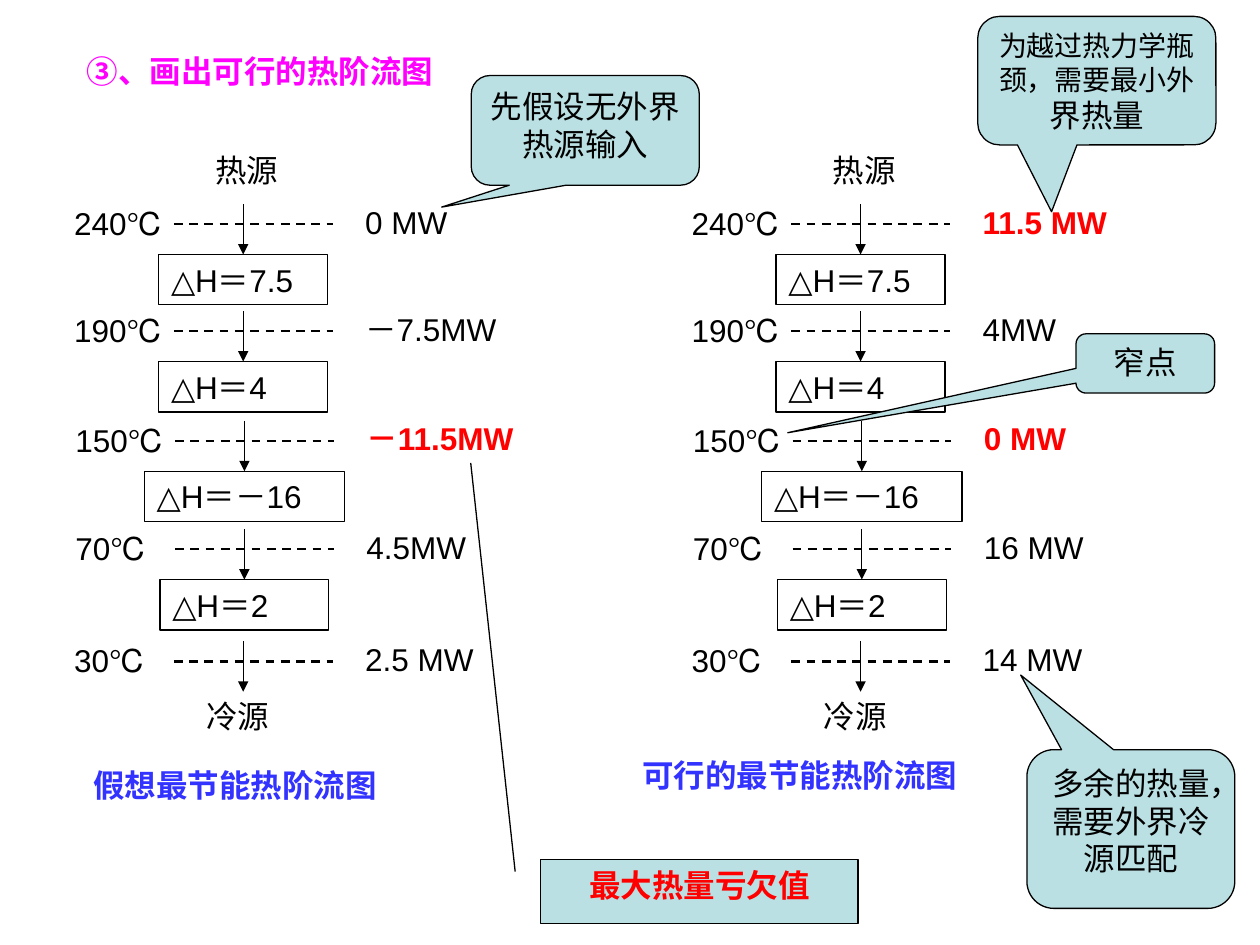
from dataclasses import dataclass

from lxml import etree
from pptx import Presentation
from pptx.dml.color import RGBColor
from pptx.enum.dml import MSO_LINE
from pptx.enum.shapes import MSO_CONNECTOR, MSO_SHAPE
from pptx.enum.text import MSO_ANCHOR, PP_ALIGN
from pptx.oxml.ns import qn
from pptx.util import Inches, Pt

RECT = MSO_SHAPE.RECTANGLE
WEDGE = MSO_SHAPE.ROUNDED_RECTANGULAR_CALLOUT
BORDER = MSO_SHAPE.LINE_CALLOUT_1
STRAIGHT = MSO_CONNECTOR.STRAIGHT
DASH = MSO_LINE.DASH
LEFT, CENTER = PP_ALIGN.LEFT, PP_ALIGN.CENTER
TOP = MSO_ANCHOR.TOP

COLORS = {"ink": "000000", "title": "FF00FF", "hot": "FF0000",
          "name": "3333FF", "note": "BBE0E3"}
FONT = "Arial"
ROW_H = 0.4
AXIS = 1.93          # x of the arrows in the left cascade
RIGHT_SHIFT = 4.9    # from the left cascade to the right one


@dataclass
class Step:
    """One temperature level, with the heat box below it."""
    y: float
    nudge: float
    temp: str
    heat: str = ""
    box_w: float = 1.34


@dataclass
class Flow:
    text: str
    width: float
    hot: bool = False


@dataclass
class Note:
    kind: int
    at: tuple
    adjust: tuple
    runs: tuple          # (text, size) pairs
    color: str = "ink"
    bold: bool = False


STEPS = [
    Step(1.78, 0, "240℃", "△H＝7.5"),
    Step(2.63, 0, "190℃", "△H＝4"),
    Step(3.5, 0.01, "150℃", "△H＝－16", 1.59),
    Step(4.36, 0.01, "70℃", "△H＝2"),
    Step(5.25, 0, "30℃"),
]
IDEAL = [Flow("0 MW", 0.94), Flow("－7.5MW", 1.42), Flow("－11.5MW", 1.56, True),
         Flow("4.5MW", 1.25), Flow("2.5 MW", 1.34)]
FEASIBLE = [Flow("11.5 MW", 1.4, True), Flow("4MW", 1.42), Flow("0 MW", 0.99, True),
            Flow("16 MW", 1.25), Flow("14 MW", 1.34)]
NOTES = [
    Note(WEDGE, (3.74, 0.6, 1.81, 0.87), (-0.63, 0.7, 0.17),
         (("先假设无外界热源输入", 18),)),
    Note(BORDER, (4.29, 6.82, 2.52, 0.51), (0.19, -0.08, -6.17, -0.22),
         (("最大热量亏欠值", 18),), "hot", True),
    Note(WEDGE, (8.54, 2.65, 1.1, 0.47), (-2.58, 1.17, 0.17), (("窄点", 18),)),
    Note(WEDGE, (7.76, 0.13, 1.89, 1.02), (-0.19, 1.02, 0.17),
         (("为越过热力学瓶颈，需要最小外", 16), ("界热量", 18))),
    Note(WEDGE, (8.15, 5.95, 1.65, 1.26), (-0.53, -0.97, 0.17),
         (("多余的热量，需要外界冷源匹配", 18),)),
]


def rgb(name: str) -> RGBColor:
    return RGBColor.from_string(COLORS[name])


def write(shape, runs: tuple, color: str = "ink", bold: bool = False, align=LEFT) -> None:
    frame = shape.text_frame
    frame.word_wrap = True
    frame.vertical_anchor = TOP
    para = frame.paragraphs[0]
    para.alignment = align
    for text, size in runs:
        run = para.add_run()
        run.text = text
        run.font.name = FONT
        run.font.size = Pt(size)
        run.font.bold = bold
        run.font.color.rgb = rgb(color)


def label(slide, x: float, y: float, width: float, text: str,
          color: str = "ink", bold: bool = False) -> None:
    box = slide.shapes.add_textbox(Inches(x), Inches(y), Inches(width), Inches(ROW_H))
    write(box, ((text, 18),), color, bold)


def block(slide, kind: int, at: tuple):
    """Add an outlined shape without fill or shadow."""
    shape = slide.shapes.add_shape(kind, *map(Inches, at))
    shape.shadow.inherit = False
    shape.fill.background()
    shape.line.color.rgb = rgb("ink")
    shape.line.width = Pt(0.75)
    return shape


def rule(slide, x1: float, y1: float, x2: float, y2: float, width: float):
    line = slide.shapes.add_connector(STRAIGHT, *map(Inches, (x1, y1, x2, y2)))
    line.line.color.rgb = rgb("ink")
    line.line.width = Pt(width)
    etree.SubElement(line._element.spPr, qn("a:effectLst"))
    return line


def level(slide, step: Step, flow: Flow, shift: float) -> None:
    dx = shift + step.nudge
    axis, y = AXIS + dx, step.y
    arrow = rule(slide, axis, y - 0.16, axis, y + 0.24, 0.75)
    etree.SubElement(arrow.line._get_or_add_ln(), qn("a:tailEnd"), type="triangle")
    label(slide, 0.49 + dx, y - 0.21, 0.94, step.temp)
    rule(slide, 1.38 + dx, y, 2.64 + dx, y, 1.25).line.dash_style = DASH
    label(slide, 2.8 + dx, y - 0.22, flow.width, flow.text,
          "hot" if flow.hot else "ink", flow.hot)
    if step.heat:
        box = block(slide, RECT, (axis - step.box_w / 2, y + 0.24, step.box_w, ROW_H))
        write(box, ((step.heat, 18),))
        arrow.end_connect(box, 0)


def cascade(slide, flows: list, shift: float) -> None:
    label(slide, 1.61 + shift, 1.15, 0.71, "热源")
    for step, flow in zip(STEPS, flows):
        level(slide, step, flow, shift)
    label(slide, 1.54 + shift, 5.48, 0.71, "冷源")


def callout(slide, note: Note) -> None:
    shape = block(slide, note.kind, note.at)
    shape.fill.solid()
    shape.fill.fore_color.rgb = rgb("note")
    for i, value in enumerate(note.adjust):
        shape.adjustments[i] = value
    write(shape, note.runs, note.color, note.bold, CENTER)


def main() -> None:
    deck = Presentation()
    deck.slide_width, deck.slide_height = Inches(10), Inches(7.5)
    slide = deck.slides.add_slide(deck.slide_layouts[5])
    title = slide.shapes.title
    title.left, title.top = Inches(0.59), Inches(0.36)
    title.width, title.height = Inches(3.15), Inches(ROW_H)
    write(title, (("③、画出可行的热阶流图", 18),), "title", True)

    cascade(slide, IDEAL, 0)
    cascade(slide, FEASIBLE, RIGHT_SHIFT)
    for note in NOTES:
        callout(slide, note)
    label(slide, 0.64, 6.03, 2.68, "假想最节能热阶流图", "name", True)
    label(slide, 5, 5.95, 2.91, "可行的最节能热阶流图", "name", True)
    deck.save("out.pptx")


if __name__ == "__main__":
    main()
